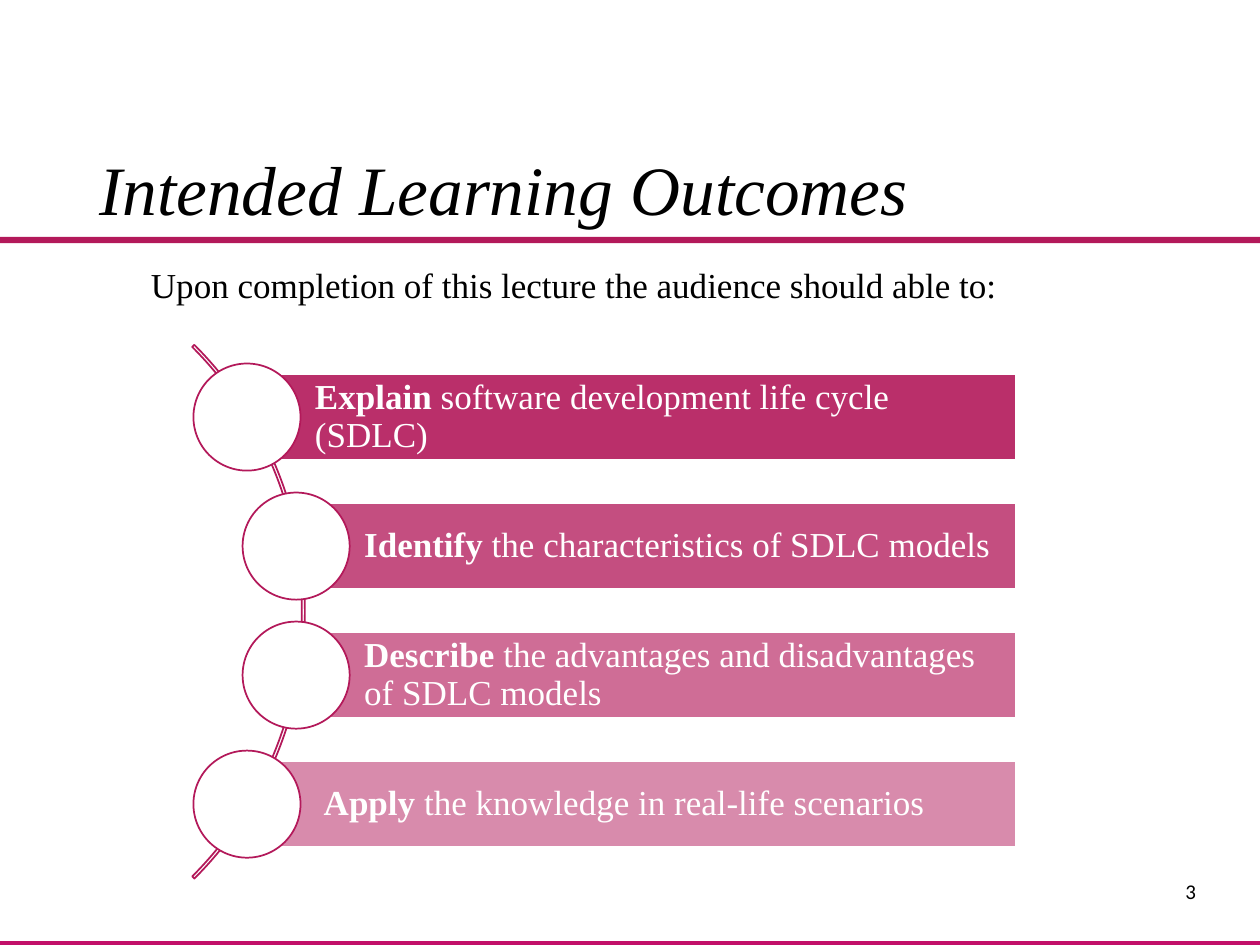
import pptx
import pptx.util
import pptx.dml.color
import pptx.enum.shapes
import pptx.enum.text
import pptx.oxml
import pptx.oxml.ns

prs = pptx.Presentation()
prs.slide_width = pptx.util.Inches(10)
prs.slide_height = pptx.util.Inches(7.5)
col = prs.slide_width / 100
row = prs.slide_height / 75
s = prs.slides.add_slide(prs.slide_layouts[5])
shapes = pptx.enum.shapes.MSO_SHAPE
anchors = pptx.enum.text.MSO_ANCHOR
accent = "B3195A"


def paint(target, color):
    target.solid()
    target.fore_color.rgb = pptx.dml.color.RGBColor.from_string(color)


def write(p, text, size, font="Times New Roman", color="000000", bold=False):
    r = p.add_run()
    r.text = text
    r.font.size = pptx.util.Pt(size)
    r.font.name = font
    r.font.bold = bold
    paint(r.font.fill, color)
    return r


for top, height, color in [(74.7, 0.7, "C21069"), (18.8, 0.5, accent)]:
    sp = s.shapes.add_shape(shapes.RECTANGLE, 0, int(top * row), prs.slide_width, int(height * row))
    sp.shadow.inherit = False
    paint(sp.fill, color)
    sp.line.fill.background()

title = s.shapes.title
title.left, title.top = int(6.9 * col), int(12.1 * row)
title.width, title.height = int(86.2 * col), int(6.4 * row)
tf = title.text_frame
tf.auto_size = pptx.enum.text.MSO_AUTO_SIZE.NONE
tf.vertical_anchor = anchors.MIDDLE
p = tf.paragraphs[0]
p.alignment = pptx.enum.text.PP_ALIGN.LEFT
p.line_spacing = 0.9
write(p, "Intended Learning Outcomes", 39.6).font.italic = True

arc = s.shapes.add_shape(shapes.BLOCK_ARC, int(-35.7 * col), int(18.6 * row), int(59.9 * col), int(59.9 * row))
arc.shadow.inherit = False
arc.adjustments[0] = 189
arc.adjustments[1] = 27
arc.adjustments[2] = 0.004
arc.fill.background()
paint(arc.line.fill, accent)
arc.line.width = pptx.util.Pt(1)

outcomes = [
    (19.6, "", "Explain", " software development life cycle (SDLC)"),
    (23.5, "", "Identify", " the characteristics of SDLC models"),
    (23.5, "", "Describe", " the advantages and disadvantages of SDLC models"),
    (19.6, " ", "Apply", " the knowledge in real-life scenarios"),
]
right, first, step, bar_height, diameter = 80.6, 33.1, 10.24, 6.8, 8.5
for i, (left, lead, verb, rest) in enumerate(outcomes):
    middle = first + i * step
    bar = s.shapes.add_shape(shapes.RECTANGLE, int(left * col), int((middle - bar_height / 2) * row),
                             int((right - left) * col), int(bar_height * row))
    bar.shadow.inherit = False
    paint(bar.fill, accent)
    clr = bar.fill._xPr.find(".//" + pptx.oxml.ns.qn("a:srgbClr"))
    alpha = pptx.oxml.parse_xml(f'<a:alpha {pptx.oxml.ns.nsdecls("a")} val="{90000 - i * 40000 // 3}"/>')
    clr.append(alpha)
    paint(bar.line.fill, "FFFFFF")
    bar.line.width = pptx.util.Pt(1)
    tf = bar.text_frame
    tf.word_wrap = True
    tf.vertical_anchor = anchors.MIDDLE
    tf.margin_left = int(5.4 * col)
    tf.margin_right = tf.margin_top = tf.margin_bottom = int(0.6 * col)
    p = tf.paragraphs[0]
    p.alignment = pptx.enum.text.PP_ALIGN.LEFT
    p.line_spacing = 0.9
    for text, bold in [(lead, False), (verb, True), (rest, False)]:
        if text:
            write(p, text, 20, color="FFFFFF", bold=bold)

    dot = s.shapes.add_shape(shapes.OVAL, int((left - diameter / 2) * col), int((middle - diameter / 2) * row),
                             int(diameter * col), int(diameter * row))
    dot.shadow.inherit = False
    paint(dot.fill, "FFFFFF")
    paint(dot.line.fill, accent)
    dot.line.width = pptx.util.Pt(1)

number = s.shapes.add_textbox(int(93.1 * col), int(69.2 * row), int(4.5 * col), int(3 * row))
number.text_frame.word_wrap = True
write(number.text_frame.paragraphs[0], "3", 12, font="Calibri")

intro = s.shapes.add_textbox(int(11 * col), int(20.4 * row), int(70.3 * col), int(4.4 * row))
intro.text_frame.word_wrap = False
write(intro.text_frame.paragraphs[0], "Upon completion of this lecture the audience should able to:", 20)

prs.save("out.pptx")
